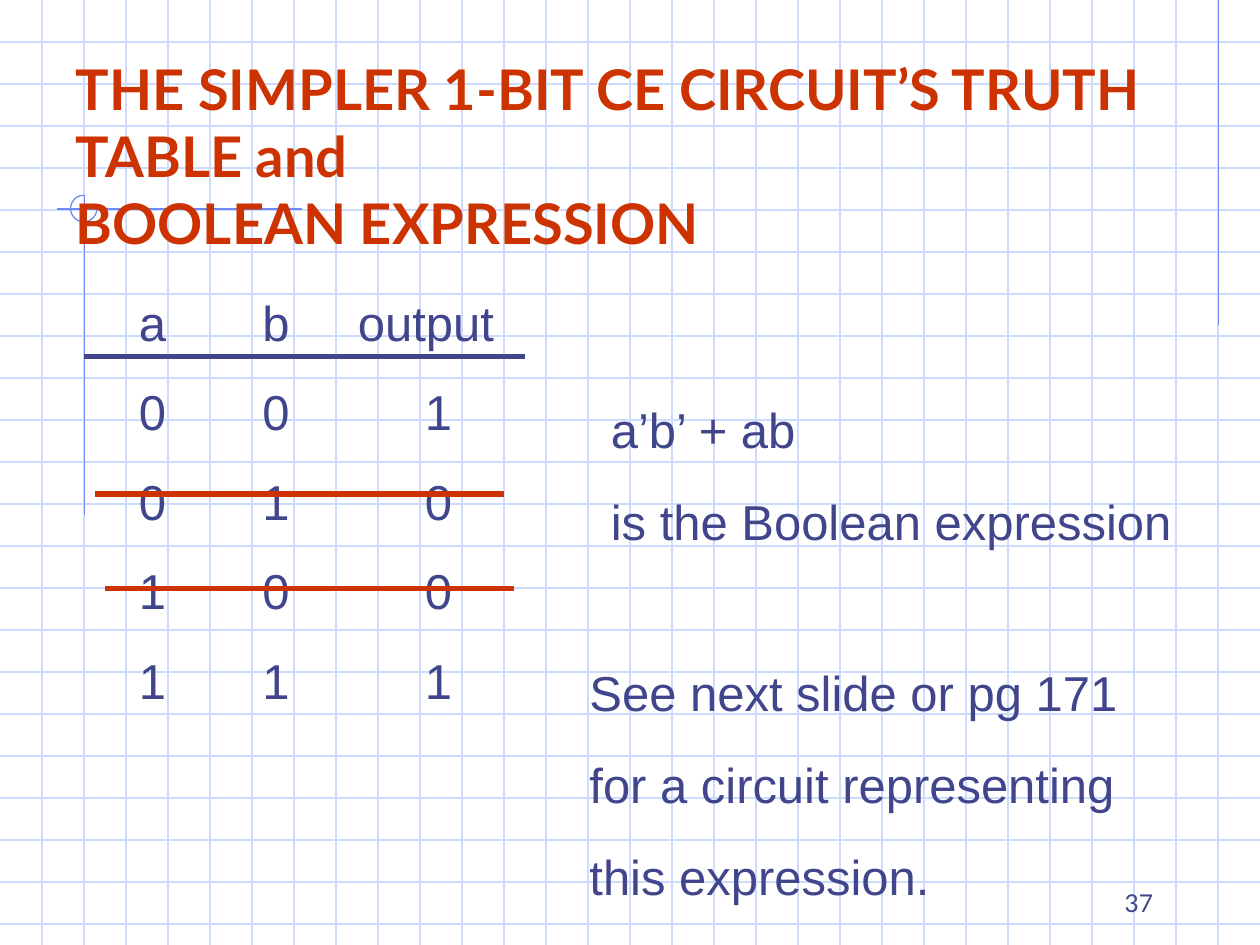
from typing import NamedTuple

from lxml.etree import SubElement
from pptx import Presentation
from pptx.dml.color import RGBColor
from pptx.enum.shapes import MSO_CONNECTOR as Link, MSO_SHAPE as Shape
from pptx.enum.text import MSO_ANCHOR as Anchor, MSO_AUTO_SIZE as Fit, PP_ALIGN as Align
from pptx.oxml.ns import qn
from pptx.util import Inches, Pt

COLORS = {"grid": "CFDBFD", "trim": "6F89F7", "text": "40458C", "accent": "CC3300"}
WIDE, HIGH, STEP = 10, 7.5, 1 / 3
NO_STYLE = "{2D5ABB26-0587-4C30-8999-92F81FD0307C}"


class Line(NamedTuple):
    x1: float
    y1: float
    x2: float
    y2: float
    color: str
    width: float = 0.75


class Note(NamedTuple):
    left: float
    top: float
    width: float
    height: float
    lines: list[str]


GRID = [Line(0, i * STEP, WIDE, i * STEP, "grid") for i in range(1, 23)]
GRID += [Line(i * STEP, 0, i * STEP, HIGH, "grid") for i in range(1, 30)]
TRIM = [
    Line(9.67, 0, 9.67, 2.58, "trim"),
    Line(2.4, 1.66, 0.45, 1.66, "trim"),
    Line(0.67, 1.55, 0.67, 4.09, "trim"),
]
RULES = [
    Line(0.67, 2.83, 4.17, 2.83, "text", 3),
    Line(0.75, 3.92, 4, 3.92, "accent", 3),
    Line(0.83, 4.67, 4.08, 4.67, "accent", 3),
]
TRUTH = [
    ("a", "b", "output"),
    ("0", "0", "1"),
    ("0", "1", "0"),
    ("1", "0", "0"),
    ("1", "1", "1"),
]
NOTES = [
    Note(4.75, 3.12, 4.83, 1.28, ["a’b’ + ab", "is the Boolean expression"]),
    Note(4.58, 5.21, 4.42, 1.99,
         ["See next slide or pg 171", "for a circuit representing", "this expression."]),
]


def rgb(name: str) -> RGBColor:
    return RGBColor.from_string(COLORS[name])


def style(para, size: float, face: str = "Arial", color: str = "text", bold: bool = False) -> None:
    font = para.font
    font.size, font.name, font.bold = Pt(size), face, bold
    font.color.rgb = rgb(color)


def draw_line(shapes, line: Line) -> None:
    ends = [Inches(v) for v in line[:4]]
    link = shapes.add_connector(Link.STRAIGHT, *ends)
    link.line.color.rgb = rgb(line.color)
    link.line.width = Pt(line.width)
    SubElement(link.element.spPr, qn("a:effectLst"))


def draw_back(shapes) -> None:
    """Draw the squared paper and its margin marks as one group."""
    group = shapes.add_group_shape().shapes
    for line in GRID + TRIM:
        draw_line(group, line)
    arc = group.add_shape(Shape.ARC, Inches(0.56), Inches(1.55), Inches(0.21), Inches(0.21))
    arc.adjustments[0], arc.adjustments[1] = 0, 162
    arc.fill.background()
    arc.line.color.rgb = rgb("trim")
    arc.line.width = Pt(0.75)
    arc.shadow.inherit = False


def draw_title(shapes) -> None:
    title = shapes.title
    title.left, title.top = Inches(0.5), Inches(0.3)
    title.width, title.height = Inches(9), Inches(1.78)
    frame = title.text_frame
    frame.text = "THE SIMPLER 1-BIT CE CIRCUIT’S TRUTH TABLE and \vBOOLEAN EXPRESSION"
    frame.auto_size, frame.vertical_anchor = Fit.NONE, Anchor.BOTTOM
    frame.paragraphs[0].alignment = Align.LEFT
    style(frame.paragraphs[0], 32, "Lato", "accent", True)
    title.element.getparent().append(title.element)  # in front of the grid


def draw_truth(shapes) -> None:
    widths, row_high = (1.08, 0.88, 1.5), 0.71
    frame = shapes.add_table(len(TRUTH), len(widths), Inches(0.67), Inches(2.22),
                             Inches(sum(widths)), Inches(row_high * len(TRUTH)))
    table = frame.table
    table.first_row = table.horz_banding = False
    frame.element.find(".//" + qn("a:tableStyleId")).text = NO_STYLE
    for col, width in zip(table.columns, widths):
        col.width = Inches(width)
    for r, row in enumerate(TRUTH):
        table.rows[r].height = Inches(row_high)
        for c, text in enumerate(row):
            cell = table.cell(r, c)
            cell.fill.background()
            cell.margin_left = cell.margin_right = cell.margin_top = cell.margin_bottom = 0
            if r and c == 2:
                cell.margin_left = Inches(0.2)
            cell.vertical_anchor = Anchor.MIDDLE
            cell.text = text
            para = cell.text_frame.paragraphs[0]
            para.alignment = Align.CENTER
            style(para, 28)


def draw_note(shapes, note: Note) -> None:
    box = shapes.add_textbox(*[Inches(v) for v in note[:4]])
    frame = box.text_frame
    frame.word_wrap = True
    frame.text = "\n".join(note.lines)
    for i, para in enumerate(frame.paragraphs):
        if i:
            para.space_before = Pt(19)
        style(para, 28)


def draw_number(shapes) -> None:
    box = shapes.add_textbox(Inches(7.17), Inches(6.83), Inches(2.08), Inches(0.5))
    frame = box.text_frame
    frame.word_wrap, frame.vertical_anchor = True, Anchor.BOTTOM
    frame.text = "37"
    frame.paragraphs[0].alignment = Align.RIGHT
    style(frame.paragraphs[0], 14, "Lato")


def main() -> None:
    deck = Presentation()
    deck.slide_width, deck.slide_height = Inches(WIDE), Inches(HIGH)
    shapes = deck.slides.add_slide(deck.slide_layouts[5]).shapes
    draw_back(shapes)
    draw_title(shapes)
    draw_truth(shapes)
    for rule in RULES:
        draw_line(shapes, rule)
    for note in NOTES:
        draw_note(shapes, note)
    draw_number(shapes)
    deck.save("out.pptx")


if __name__ == "__main__":
    main()
